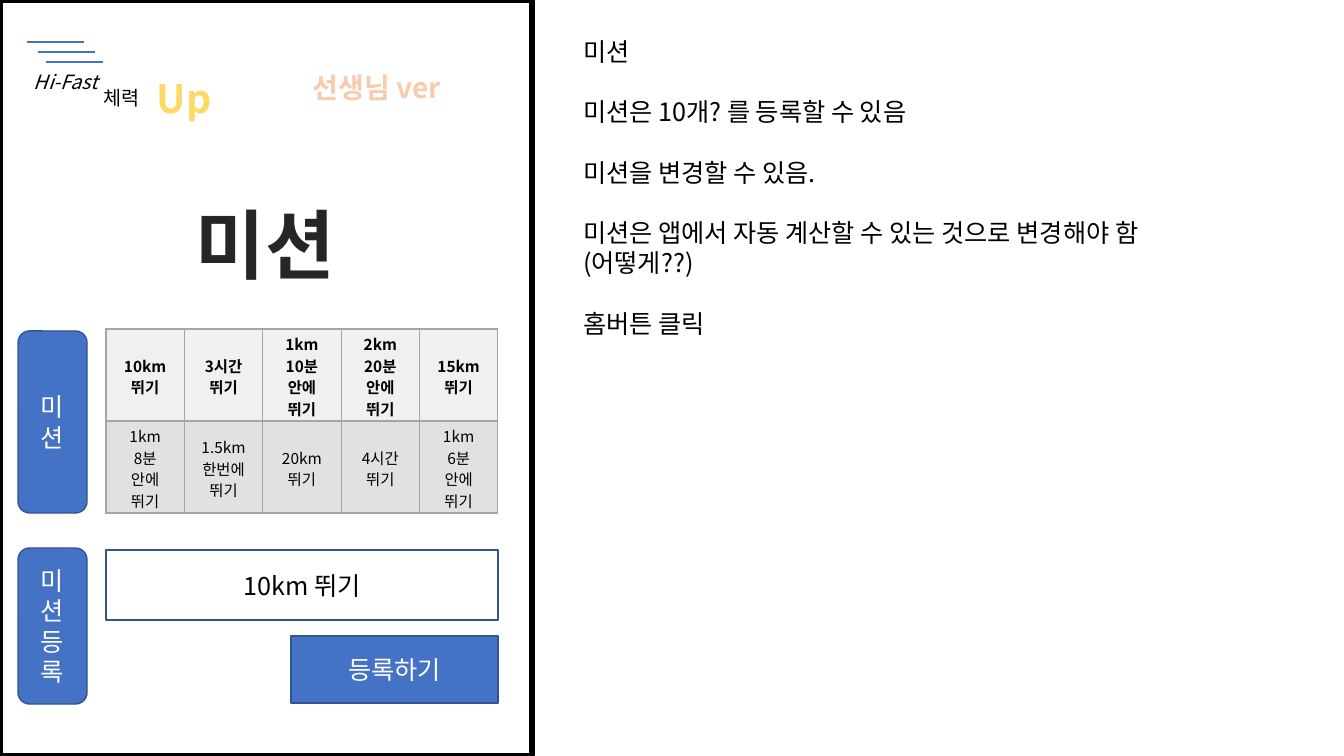
import pptx
import pptx.util
import pptx.dml.color
import pptx.enum.shapes
import pptx.enum.text
import pptx.oxml
import pptx.oxml.ns
import lxml.etree

RGB = pptx.dml.color.RGBColor
BLACK = RGB(0x00, 0x00, 0x00)
WHITE = RGB(0xFF, 0xFF, 0xFF)
BLUE = RGB(0x44, 0x72, 0xC4)
NAVY = RGB(0x32, 0x54, 0x91)
DARK = RGB(0x26, 0x26, 0x26)
PEACH = RGB(0xF8, 0xCB, 0xAD)
GOLD = RGB(0xFF, 0xD9, 0x66)
GREY = RGB(0xA5, 0xA5, 0xA5)
PALE = RGB(0xF0, 0xF0, 0xF0)
SILVER = RGB(0xE1, 0xE1, 0xE1)
FONT = "Noto Sans CJK KR"
PX = 914400 / 100.8
KIND = pptx.enum.shapes.MSO_SHAPE
ALIGN = pptx.enum.text.PP_ALIGN
MIDDLE = pptx.enum.text.MSO_ANCHOR.MIDDLE
TOP = pptx.enum.text.MSO_ANCHOR.TOP
qn = pptx.oxml.ns.qn


def box(*sizes):
    return [round(size * PX) for size in sizes]


def write(frame, lines, size, color, align=ALIGN.CENTER, lead=1.2, **style):
    """Fill a text frame, one paragraph per line."""
    frame.text = "\n".join(lines)
    looks = {"name": FONT, "size": pptx.util.Pt(size), **style}
    space = {"alignment": align, "line_spacing": pptx.util.Pt(size * lead),
             "space_before": pptx.util.Pt(0)}
    for para in frame.paragraphs:
        for key, value in space.items():
            setattr(para, key, value)
        for run in para.runs:
            for key, value in looks.items():
                setattr(run.font, key, value)
            run.font.color.rgb = color
            east = lxml.etree.SubElement(run.font._element, qn("a:ea"))
            east.set("typeface", FONT)


deck = pptx.Presentation()
deck.slide_width, deck.slide_height = box(1344, 756)
slide = deck.slides.add_slide(deck.slide_layouts[1])
shapes = slide.shapes
title, notes = slide.placeholders

# Title and notes
places = [(title, (179, 192, 173, 102), MIDDLE, False),
          (notes, (573, 31, 697, 316), TOP, True)]
for holder, place, anchor, wrap in places:
    holder.left, holder.top, holder.width, holder.height = box(*place)
    setup = {"vertical_anchor": anchor, "word_wrap": wrap,
             "auto_size": pptx.enum.text.MSO_AUTO_SIZE.NONE}
    for key, value in setup.items():
        setattr(holder.text_frame, key, value)
write(title.text_frame, ["미션"], 54, DARK, bold=True)
write(notes.text_frame, [
    "미션",
    "미션은 10개? 를 등록할 수 있음",
    "미션을 변경할 수 있음.",
    "미션은 앱에서 자동 계산할 수 있는 것으로 변경해야 함",
    "(어떻게??)",
    "홈버튼 클릭",
], 18, BLACK, ALIGN.LEFT)
for spot, para in enumerate(notes.text_frame.paragraphs):
    para.space_after = pptx.util.Pt(0 if spot == 3 else 21.6)
    props = para._p.get_or_add_pPr()
    props.set("marL", "0")
    props.set("indent", "0")
    lxml.etree.SubElement(props, qn("a:buNone"))

# Phone frame, labels, entry field and button
panels = [
    (KIND.RECTANGLE, (0, 0, 532, 756), WHITE, BLACK, 4.5, [], BLACK),
    (KIND.ROUNDED_RECTANGLE, (18, 331, 69, 182), BLUE, NAVY, 1, ["미션"], WHITE),
    (KIND.ROUNDED_RECTANGLE, (18, 548, 69, 156), BLUE, NAVY, 1,
     ["미션", "등록"], WHITE),
    (KIND.RECTANGLE, (106, 550, 392, 70), WHITE, NAVY, 1, ["10km 뛰기"], BLACK),
    (KIND.RECTANGLE, (291, 636, 207, 67), BLUE, NAVY, 1, ["등록하기"], WHITE),
]
for kind, place, fill, edge, width, lines, color in panels:
    panel = shapes.add_shape(kind, *box(*place))
    panel.shadow.inherit = False
    panel.fill.solid()
    panel.fill.fore_color.rgb = fill
    panel.line.color.rgb = edge
    panel.line.width = pptx.util.Pt(width)
    panel.text_frame.vertical_anchor = MIDDLE
    if lines:
        write(panel.text_frame, lines, 18, color)
    else:
        # The frame lies behind the title
        panel._element.getparent().insert(2, panel._element)

# Mission table
rows = [
    (PALE, True, ["10km 뛰기", "3시간 뛰기", "1km\n10분 안에 뛰기",
                  "2km\n20분 안에 뛰기", "15km 뛰기"]),
    (SILVER, False, ["1km\n8분 안에 뛰기", "1.5km 한번에 뛰기", "20km 뛰기",
                     "4시간 뛰기", "1km\n6분 안에 뛰기"]),
]
table = shapes.add_table(2, 5, *box(106, 329, 392, 184)).table
for row, (fill, bold, texts) in enumerate(rows):
    for col, text in enumerate(texts):
        cell = table.cell(row, col)
        left, top, right, low = box(12, 3, 12, 0)
        setup = {"margin_left": left, "margin_top": top, "margin_right": right,
                 "margin_bottom": low, "vertical_anchor": MIDDLE}
        for key, value in setup.items():
            setattr(cell, key, value)
        write(cell.text_frame, text.split("\n"), 11, BLACK, lead=1.42, bold=bold)
        props = cell._tc.get_or_add_tcPr()
        for side in ("lnL", "lnR", "lnT", "lnB"):
            edge = lxml.etree.SubElement(props, qn("a:" + side), w="12700")
            paint = lxml.etree.SubElement(edge, qn("a:solidFill"))
            lxml.etree.SubElement(paint, qn("a:srgbClr"), val=str(GREY))
        cell.fill.solid()
        cell.fill.fore_color.rgb = fill

# Header words
words = [
    ("선생님 ver", (291, 66, 172, 44), 20, PEACH, ALIGN.CENTER, {"bold": True}),
    ("체력", (92, 81, 59, 34), 14, BLACK, ALIGN.CENTER, {}),
    ("Up", (146, 69, 76, 57), 28, GOLD, ALIGN.CENTER, {"bold": True}),
    ("Hi-Fast", (24, 65, 88, 34), 14, BLACK, ALIGN.LEFT, {"italic": True}),
]
for text, place, size, color, align, style in words:
    label = shapes.add_textbox(*box(*place))
    label.text_frame.word_wrap = False
    write(label.text_frame, [text], size, color, align, **style)

# Speed lines
for left, top in [(27, 42), (38, 52), (46, 62)]:
    streak = shapes.add_connector(pptx.enum.shapes.MSO_CONNECTOR.STRAIGHT,
                                  *box(left, top, left + 57, top))
    streak.line.color.rgb = BLUE
    streak.line.width = pptx.util.Pt(2)
    lxml.etree.SubElement(streak._element.spPr, qn("a:effectLst"))

deck.save("out.pptx")
